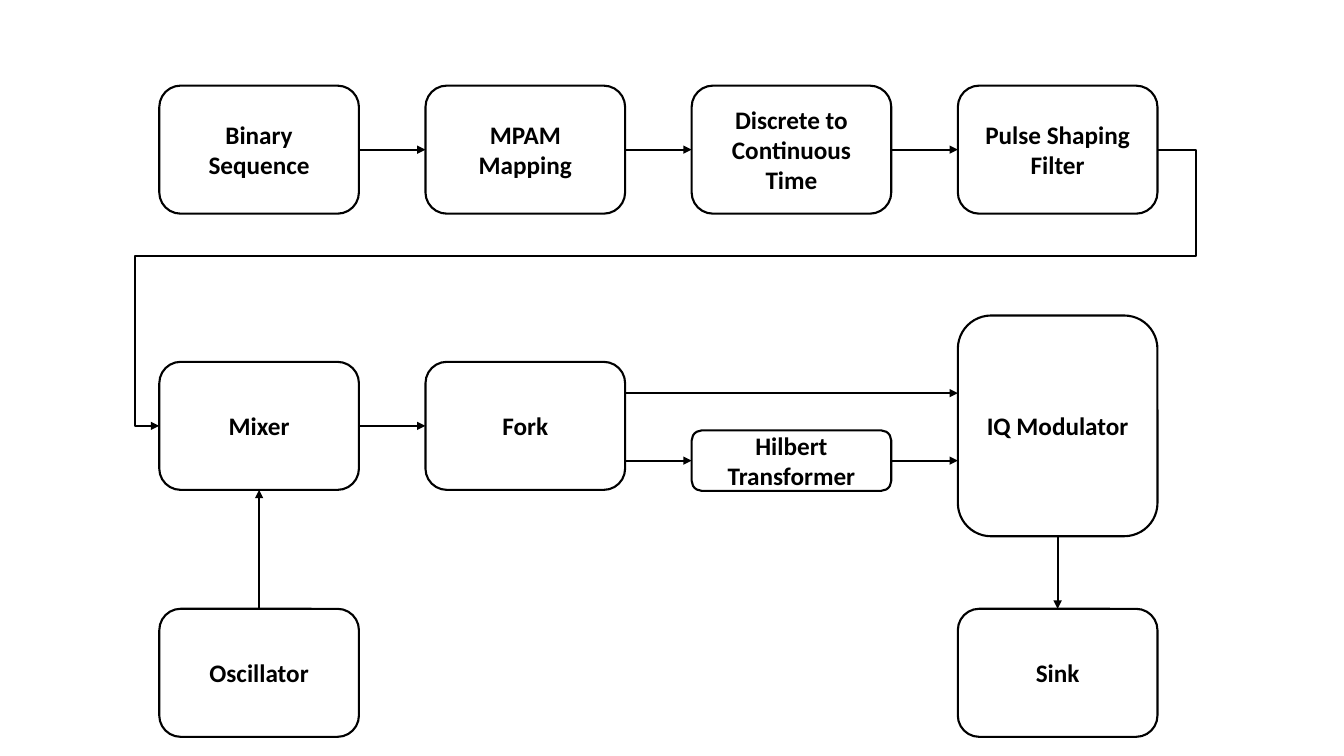
from dataclasses import dataclass

from lxml.etree import SubElement
from pptx import Presentation
from pptx.dml.color import RGBColor
from pptx.enum.shapes import MSO_CONNECTOR as Conn, MSO_SHAPE as Shape
from pptx.enum.text import MSO_ANCHOR as Anchor, PP_ALIGN as Align
from pptx.oxml.ns import qn
from pptx.util import Inches, Pt

BLACK = RGBColor(0, 0, 0)
WHITE = RGBColor(255, 255, 255)
COLS = [1.58 + 2.64 * i for i in range(4)]
TOP, MID, LOW = 0.85, 3.59, 6.04
WIDE, HIGH = 1.98, 1.27
UP, LEFT, DOWN, RIGHT = range(4)


@dataclass
class Block:
    text: str
    col: int
    top: float
    high: float = HIGH

    def side(self, site: int) -> tuple[float, float]:
        """Middle of the side with this connection site number."""
        x, y = COLS[self.col], self.top
        return {
            UP: (x + WIDE / 2, y),
            LEFT: (x, y + self.high / 2),
            DOWN: (x + WIDE / 2, y + self.high),
            RIGHT: (x + WIDE, y + self.high / 2),
        }[site]


@dataclass
class End:
    """An arrow's end: a block's side, or a free height on that side."""
    name: str
    site: int
    y: float | None = None

    def point(self) -> tuple[float, float]:
        x, y = BLOCKS[self.name].side(self.site)
        return x, y if self.y is None else self.y


BLOCKS = {
    "bits": Block("Binary Sequence", 0, TOP),
    "map": Block("MPAM Mapping", 1, TOP),
    "time": Block("Discrete to\nContinuous\nTime", 2, TOP),
    "pulse": Block("Pulse Shaping Filter", 3, TOP),
    "mixer": Block("Mixer", 0, MID),
    "fork": Block("Fork", 1, MID),
    "hilbert": Block("Hilbert Transformer", 2, 4.27, 0.6),
    "iq": Block("IQ Modulator", 3, 3.13, 2.19),
    "osc": Block("Oscillator", 0, LOW),
    "sink": Block("Sink", 3, LOW),
}
HIGH_Y, LOW_Y = 3.9, 4.57
ARROWS = [
    (End("bits", RIGHT), End("map", LEFT)),
    (End("map", RIGHT), End("time", LEFT)),
    (End("time", RIGHT), End("pulse", LEFT)),
    (End("mixer", RIGHT), End("fork", LEFT)),
    (End("fork", RIGHT, HIGH_Y), End("iq", LEFT, HIGH_Y)),
    (End("fork", RIGHT, LOW_Y), End("hilbert", LEFT)),
    (End("hilbert", RIGHT), End("iq", LEFT, LOW_Y)),
    (End("osc", UP), End("mixer", DOWN)),
    (End("iq", DOWN), End("sink", UP)),
]


def write(frame, text: str, size: float = 18, bold: bool = True,
          color: RGBColor = BLACK, align=Align.CENTER) -> None:
    frame.word_wrap = True
    frame.vertical_anchor = Anchor.MIDDLE
    frame.text = text
    for para in frame.paragraphs:
        para.alignment = align
        font = para.runs[0].font
        font.name, font.size, font.bold = "Calibri", Pt(size), bold
        font.color.rgb = color


def draw_block(slide, block: Block):
    shape = slide.shapes.add_shape(
        Shape.ROUNDED_RECTANGLE, Inches(COLS[block.col]), Inches(block.top),
        Inches(WIDE), Inches(block.high))
    shape.shadow.inherit = False
    shape.fill.solid()
    shape.fill.fore_color.rgb = WHITE
    shape.line.color.rgb = BLACK
    shape.line.width = Pt(1.5)
    write(shape.text_frame, block.text)
    return shape


def draw_arrow(slide, shapes: dict, start: End, end: End,
               kind=Conn.STRAIGHT):
    points = [Inches(v) for v in start.point() + end.point()]
    arrow = slide.shapes.add_connector(kind, *points)
    if start.y is None:
        arrow.begin_connect(shapes[start.name], start.site)
    if end.y is None:
        arrow.end_connect(shapes[end.name], end.site)
    arrow.line.color.rgb = BLACK
    arrow.line.width = Pt(1.5)
    SubElement(arrow.line._get_or_add_ln(), qn("a:tailEnd"), type="triangle")
    SubElement(arrow._element.spPr, qn("a:effectLst"))
    return arrow


def draw_return(slide, shapes: dict, right: float, turn: float,
                left: float) -> None:
    """Lead the top row back to the mixer, bending at x, y and x."""
    start, end = End("pulse", RIGHT), End("mixer", LEFT)
    arrow = draw_arrow(slide, shapes, start, end, Conn.ELBOW)
    (x1, y1), (x2, y2) = start.point(), end.point()
    bends = [(right - x1) / (x2 - x1), (turn - y1) / (y2 - y1),
             (left - x1) / (x2 - x1)]
    geom = arrow._element.spPr.find(qn("a:prstGeom"))
    geom.set("prst", "bentConnector5")
    guides = geom.find(qn("a:avLst"))
    for i, bend in enumerate(bends, 1):
        SubElement(guides, qn("a:gd"), name=f"adj{i}",
                   fmla=f"val {round(bend * 100000)}")


def main() -> None:
    deck = Presentation()
    deck.slide_width, deck.slide_height = Inches(13.33), Inches(7.5)
    slide = deck.slides.add_slide(deck.slide_layouts[6])
    shapes = {name: draw_block(slide, b) for name, b in BLOCKS.items()}
    for start, end in ARROWS:
        draw_arrow(slide, shapes, start, end)
    draw_return(slide, shapes, right=11.87, turn=2.54, left=1.34)
    deck.save("out.pptx")


if __name__ == "__main__":
    main()
